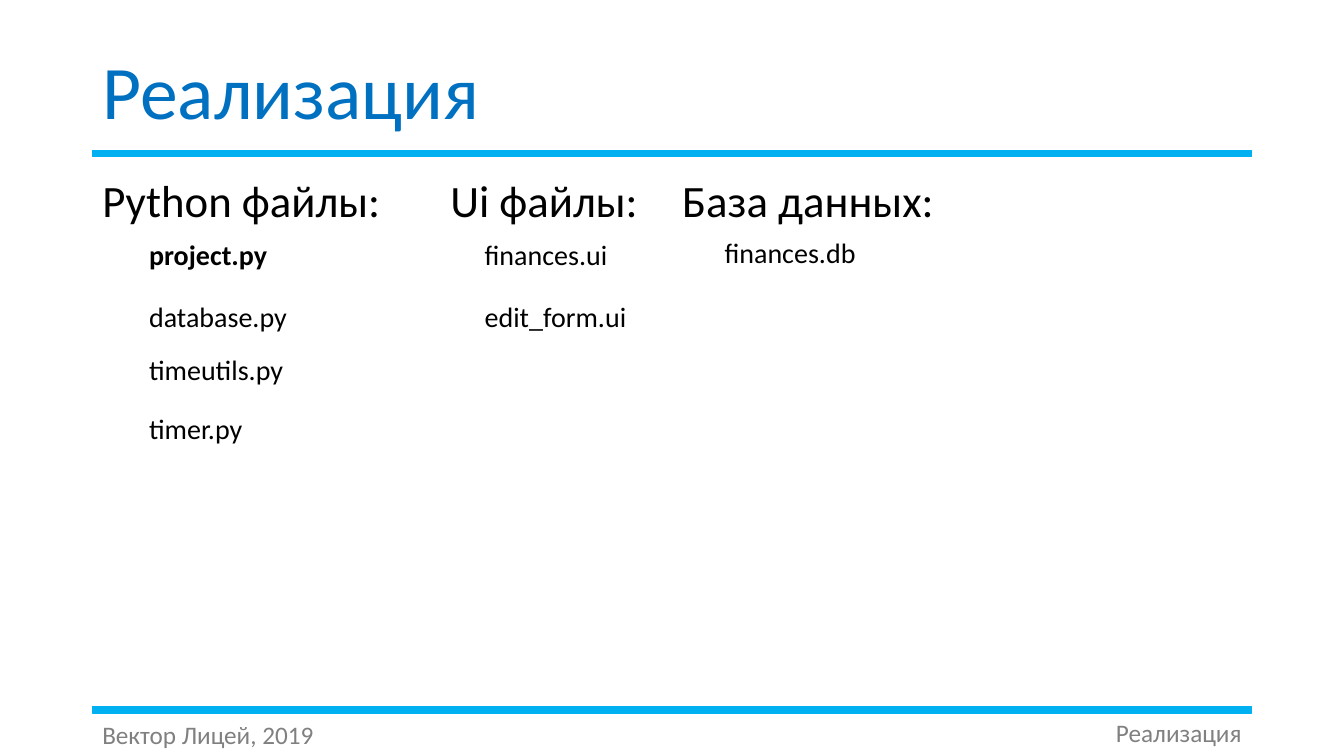
from pptx import Presentation
from pptx.dml.color import RGBColor
from pptx.enum.shapes import MSO_SHAPE
from pptx.enum.text import MSO_ANCHOR, PP_ALIGN
from pptx.util import Pt

RECT = MSO_SHAPE.RECTANGLE
TOP = MSO_ANCHOR.TOP
MIDDLE = MSO_ANCHOR.MIDDLE
LEFT = PP_ALIGN.LEFT
RIGHT = PP_ALIGN.RIGHT

EDGE = 66
WIDTH = 828
HEAD_TOP = 119.5
ROWS = [166.3, 210.2, 248.4, 290.2]
GROUPS = [
    ("Python файлы:", EDGE, 99.4, ROWS,
     ["project.py", "database.py", "timeutils.py", "timer.py"]),
    ("Ui файлы:", 314.6, 339.1, ROWS, ["finances.ui", "edit_form.ui"]),
    ("База данных:", 480.2, 510.5, [164.9], ["finances.db"]),
]


def color(code):
    return RGBColor.from_string(code)


def add_text(slide, text, left, top, width, height, size,
             tint="000000", bold=False, align=LEFT, anchor=TOP):
    box = slide.shapes.add_textbox(Pt(left), Pt(top), Pt(width), Pt(height))
    frame = box.text_frame
    frame.word_wrap = True
    frame.vertical_anchor = anchor
    line = frame.paragraphs[0]
    line.text = text
    line.alignment = align
    line.font.name = "Calibri"
    line.font.size = Pt(size)
    line.font.bold = bold
    line.font.color.rgb = color(tint)
    return line


def add_bar(slide, top):
    bar = slide.shapes.add_shape(RECT, Pt(EDGE), Pt(top), Pt(WIDTH), Pt(4.5))
    bar.shadow.inherit = False
    bar.fill.solid()
    bar.fill.fore_color.rgb = color("00B0F0")
    bar.line.color.rgb = color("00B0F0")
    bar.line.width = Pt(1)


def add_group(slide, head, left, indent, rows, files):
    add_text(slide, head, left, HEAD_TOP, 216, 46, 32)
    for name, top in zip(files, rows):
        add_text(slide, name, indent, top, 216, 31.5, 20,
                 bold=name == "project.py")


def main():
    deck = Presentation()
    deck.slide_width = Pt(960)
    deck.slide_height = Pt(540)
    slide = deck.slides.add_slide(deck.slide_layouts[6])

    title = add_text(slide, "Реализация", EDGE, 28.8, WIDTH, 78.5, 54,
                     "0070C0", anchor=MIDDLE)
    title.line_spacing = 0.9
    for top in (107.3, 504.7):
        add_bar(slide, top)
    for group in GROUPS:
        add_group(slide, *group)
    add_text(slide, "Вектор Лицей, 2019", EDGE, 510.5, 216, 29, 18, "808080")
    add_text(slide, "Реализация", 678, 509, 216, 29, 18, "808080", align=RIGHT)

    deck.save("out.pptx")


if __name__ == "__main__":
    main()
